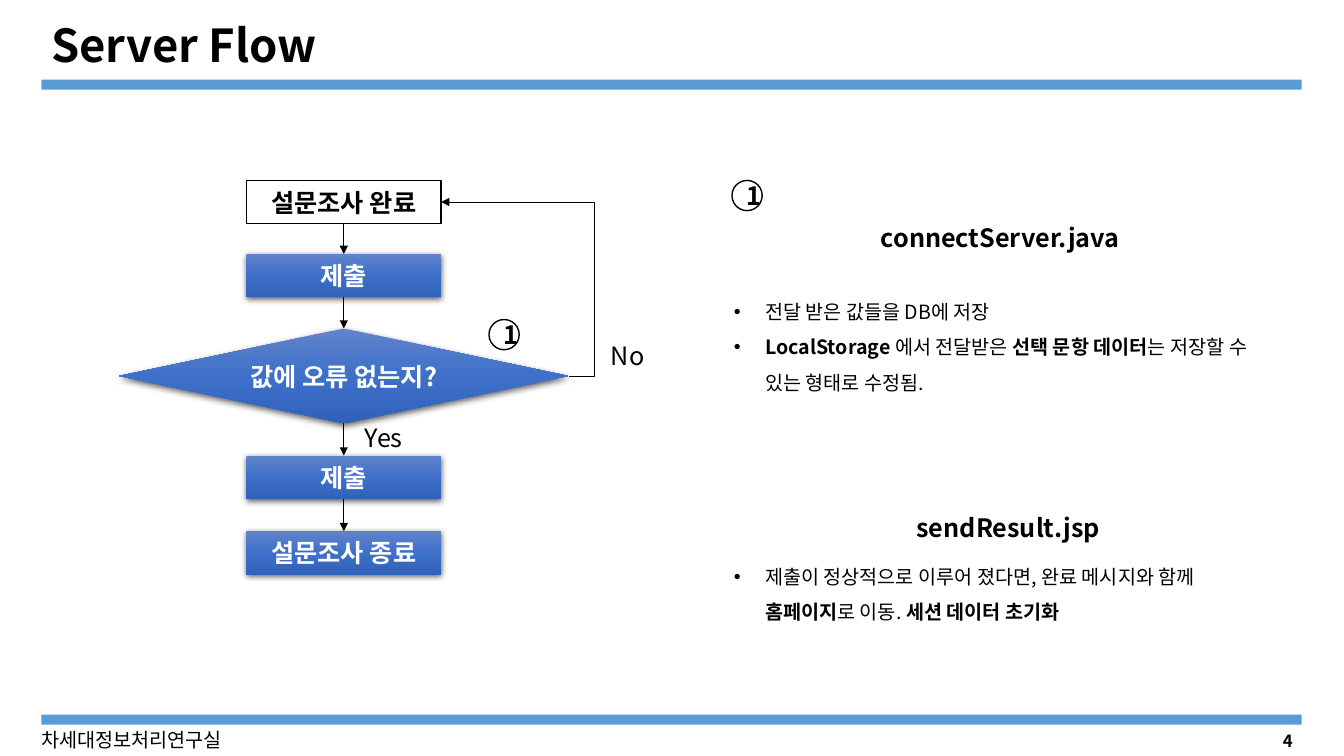
from dataclasses import dataclass
from itertools import pairwise

from lxml.etree import SubElement
from pptx import Presentation
from pptx.dml.color import RGBColor
from pptx.enum.shapes import MSO_CONNECTOR, MSO_SHAPE
from pptx.enum.text import MSO_ANCHOR, PP_ALIGN
from pptx.oxml.ns import qn
from pptx.shapes.autoshape import Shape
from pptx.shapes.connector import Connector
from pptx.slide import Slide
from pptx.text.text import _Paragraph as Paragraph
from pptx.util import Inches, Pt

FONT = "Noto Sans CJK KR"
BLACK = RGBColor(0x00, 0x00, 0x00)
WHITE = RGBColor(0xFF, 0xFF, 0xFF)
BAR_BLUE = RGBColor(0x5B, 0x9B, 0xD5)
GRADIENT = (
    (0, RGBColor(0x61, 0x83, 0xCB)),
    (50000, RGBColor(0x3E, 0x70, 0xCA)),
    (100000, RGBColor(0x30, 0x62, 0xBB)),
)
FLOW_CENTER = 3.41
BADGE_SIZE = 0.3
TOP, BOTTOM, RIGHT = 0, 2, 3


@dataclass(frozen=True)
class Step:
    text: str
    top: float
    width: float = 1.93
    height: float = 0.43
    preset: MSO_SHAPE = MSO_SHAPE.ROUNDED_RECTANGLE
    plain: bool = False


@dataclass(frozen=True)
class Span:
    text: str
    bold: bool = False


@dataclass(frozen=True)
class Label:
    text: str
    left: float
    top: float
    width: float
    height: float
    size: float = 18
    bold: bool = False
    align: PP_ALIGN = PP_ALIGN.LEFT
    anchor: MSO_ANCHOR = MSO_ANCHOR.TOP
    line_spacing: float = 1.0


@dataclass(frozen=True)
class BulletList:
    top: float
    height: float
    items: tuple[tuple[Span, ...], ...]


STEPS = (
    Step("설문조사 완료", 1.79, plain=True),
    Step("제출", 2.52),
    Step("값에 오류 없는지?", 3.26, 4.46, 0.94, MSO_SHAPE.FLOWCHART_DECISION),
    Step("제출", 4.52),
    Step("설문조사 종료", 5.27),
)
LABELS = (
    Label("차세대정보처리연구실", 0.31, 7.17, 2.74, 0.34, size=14),
    Label("Server Flow", 0.41, 0.16, 10.01, 0.62, size=32.4, bold=True,
          anchor=MSO_ANCHOR.MIDDLE, line_spacing=0.9),
    Label("4", 9.92, 7.2, 3, 0.3, size=12, bold=True,
          align=PP_ALIGN.RIGHT, anchor=MSO_ANCHOR.MIDDLE),
    Label("No", 5.96, 3.33, 0.75, 0.4),
    Label("Yes", 3.52, 4.14, 0.75, 0.4),
    Label("connectServer.java", 8.06, 2.16, 3.72, 0.4, bold=True, align=PP_ALIGN.CENTER),
    Label("sendResult.jsp", 8.14, 5.03, 3.72, 0.4, bold=True, align=PP_ALIGN.CENTER),
)
BULLET_LISTS = (
    BulletList(2.81, 1.16, (
        (Span("전달 받은 값들을 DB에 저장"),),
        (Span("LocalStorage ", True), Span("에서 전달받은 "),
         Span("선택 문항 데이터", True), Span("는 저장할 수 있는 형태로 수정됨.")),
    )),
    BulletList(5.44, 0.81, (
        (Span("제출이 정상적으로 이루어 졌다면, 완료 메시지와 함께 "),
         Span("홈페이지", True), Span("로 이동. "), Span("세션 데이터 초기화", True)),
    )),
)
BAR_TOPS = (0.79, 7.09)
BADGES = ((7.26, 1.79), (4.85, 3.17))


def set_font(para: Paragraph, size: float, color: RGBColor, bold: bool | None = None) -> None:
    para.font.name = FONT
    para.font.size = Pt(size)
    para.font.bold = bold
    para.font.color.rgb = color
    properties = para._p.pPr.find(qn("a:defRPr"))
    SubElement(properties, qn("a:ea"), typeface=FONT)


def add_box(page: Slide, preset: MSO_SHAPE, left: float, top: float,
            width: float, height: float) -> Shape:
    box = page.shapes.add_shape(preset, Inches(left), Inches(top), Inches(width), Inches(height))
    box.shadow.inherit = False
    return box


def add_bar(page: Slide, top: float) -> None:
    bar = add_box(page, MSO_SHAPE.RECTANGLE, 0.41, top, 12.5, 0.1)
    bar.fill.solid()
    bar.fill.fore_color.rgb = BAR_BLUE
    bar.line.fill.background()


def style_outlined(box: Shape) -> None:
    box.fill.solid()
    box.fill.fore_color.rgb = WHITE
    box.line.color.rgb = BLACK
    box.line.width = Pt(1)


def style_gradient(box: Shape) -> None:
    box.line.fill.background()
    box.fill.gradient()
    box.fill.gradient_angle = 270
    properties = box._element.spPr
    stops = properties.find(qn("a:gradFill")).find(qn("a:gsLst"))
    stops.clear()
    for position, color in GRADIENT:
        stop = SubElement(stops, qn("a:gs"), pos=str(position))
        SubElement(stop, qn("a:srgbClr"), val=str(color))
    shadow = SubElement(properties.find(qn("a:effectLst")), qn("a:outerShdw"),
                        blurRad=str(Pt(4.5)), dist=str(Pt(1.5)), dir="5400000",
                        algn="ctr", rotWithShape="0")
    shadow_color = SubElement(shadow, qn("a:srgbClr"), val=str(BLACK))
    SubElement(shadow_color, qn("a:alpha"), val="63000")


def write_centered(box: Shape, text: str, color: RGBColor) -> None:
    box.text_frame.vertical_anchor = MSO_ANCHOR.MIDDLE
    para = box.text_frame.paragraphs[0]
    para.text = text
    para.alignment = PP_ALIGN.CENTER
    set_font(para, 18, color, True)


def add_step(page: Slide, step: Step) -> Shape:
    box = add_box(page, step.preset, FLOW_CENTER - step.width / 2, step.top,
                  step.width, step.height)
    if step.preset == MSO_SHAPE.ROUNDED_RECTANGLE:
        box.adjustments[0] = 0
    if step.plain:
        style_outlined(box)
    else:
        style_gradient(box)
    write_centered(box, step.text, BLACK if step.plain else WHITE)
    return box


def add_badge(page: Slide, left: float, top: float) -> None:
    badge = add_box(page, MSO_SHAPE.OVAL, left, top, BADGE_SIZE, BADGE_SIZE)
    style_outlined(badge)
    write_centered(badge, "1", BLACK)


def add_arrow(page: Slide, kind: MSO_CONNECTOR, start: Shape, start_site: int,
              end: Shape, end_site: int, width: float) -> Connector:
    arrow = page.shapes.add_connector(kind, 0, 0, 0, 0)
    arrow.begin_connect(start, start_site)
    arrow.end_connect(end, end_site)
    arrow.line.color.rgb = BLACK
    arrow.line.width = Pt(width)
    SubElement(arrow.line._get_or_add_ln(), qn("a:tailEnd"), type="triangle")
    SubElement(arrow._element.spPr, qn("a:effectLst"))
    return arrow


def add_text_box(page: Slide, left: float, top: float, width: float, height: float) -> Shape:
    box = page.shapes.add_textbox(Inches(left), Inches(top), Inches(width), Inches(height))
    box.text_frame.word_wrap = True
    return box


def add_label(page: Slide, label: Label) -> None:
    box = add_text_box(page, label.left, label.top, label.width, label.height)
    box.text_frame.vertical_anchor = label.anchor
    para = box.text_frame.paragraphs[0]
    para.text = label.text
    para.alignment = label.align
    para.line_spacing = label.line_spacing
    set_font(para, label.size, BLACK, label.bold)


def add_bullet_list(page: Slide, bullets: BulletList) -> None:
    frame = add_text_box(page, 7.18, bullets.top, 5.62, bullets.height).text_frame
    for index, item in enumerate(bullets.items):
        para = frame.add_paragraph() if index else frame.paragraphs[0]
        para.line_spacing = 1.5
        properties = para._p.get_or_add_pPr()
        properties.set("marL", str(Inches(0.31)))
        properties.set("indent", str(Inches(-0.31)))
        SubElement(properties, qn("a:buFont"), typeface="Arial")
        SubElement(properties, qn("a:buChar"), char="•")
        set_font(para, 14, BLACK)
        for span in item:
            run = para.add_run()
            run.text = span.text
            run.font.bold = span.bold


def main() -> None:
    deck = Presentation()
    deck.slide_width, deck.slide_height = Inches(13.33), Inches(7.5)
    page = deck.slides.add_slide(deck.slide_layouts[6])
    for top in BAR_TOPS:
        add_bar(page, top)
    boxes = [add_step(page, step) for step in STEPS]
    for upper, lower in pairwise(boxes):
        add_arrow(page, MSO_CONNECTOR.STRAIGHT, upper, BOTTOM, lower, TOP, 1)
    retry = add_arrow(page, MSO_CONNECTOR.ELBOW, boxes[2], RIGHT, boxes[0], RIGHT, 0.5)
    guides = retry._element.spPr.prstGeom.get_or_add_avLst()
    SubElement(guides, qn("a:gd"), name="adj1", fmla="val -19800")
    for label in LABELS:
        add_label(page, label)
    for bullets in BULLET_LISTS:
        add_bullet_list(page, bullets)
    for left, top in BADGES:
        add_badge(page, left, top)
    deck.save("out.pptx")


if __name__ == "__main__":
    main()
